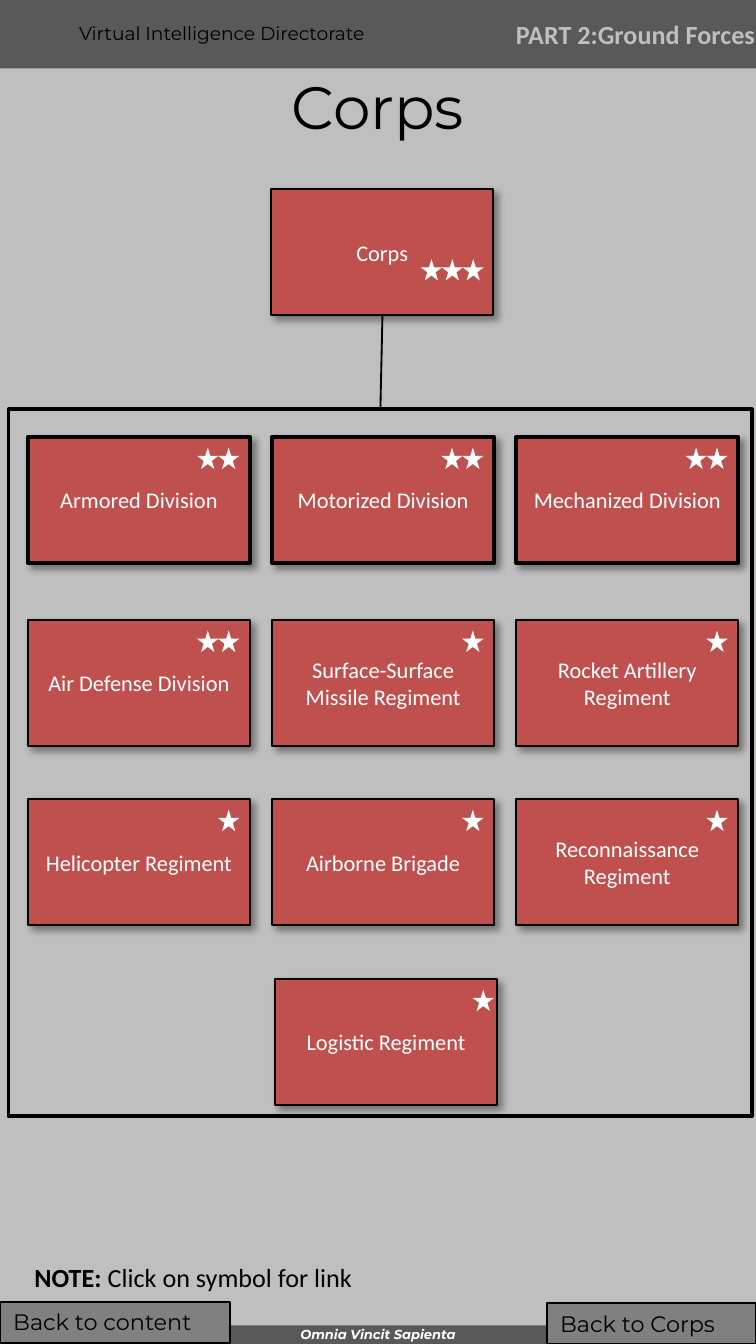
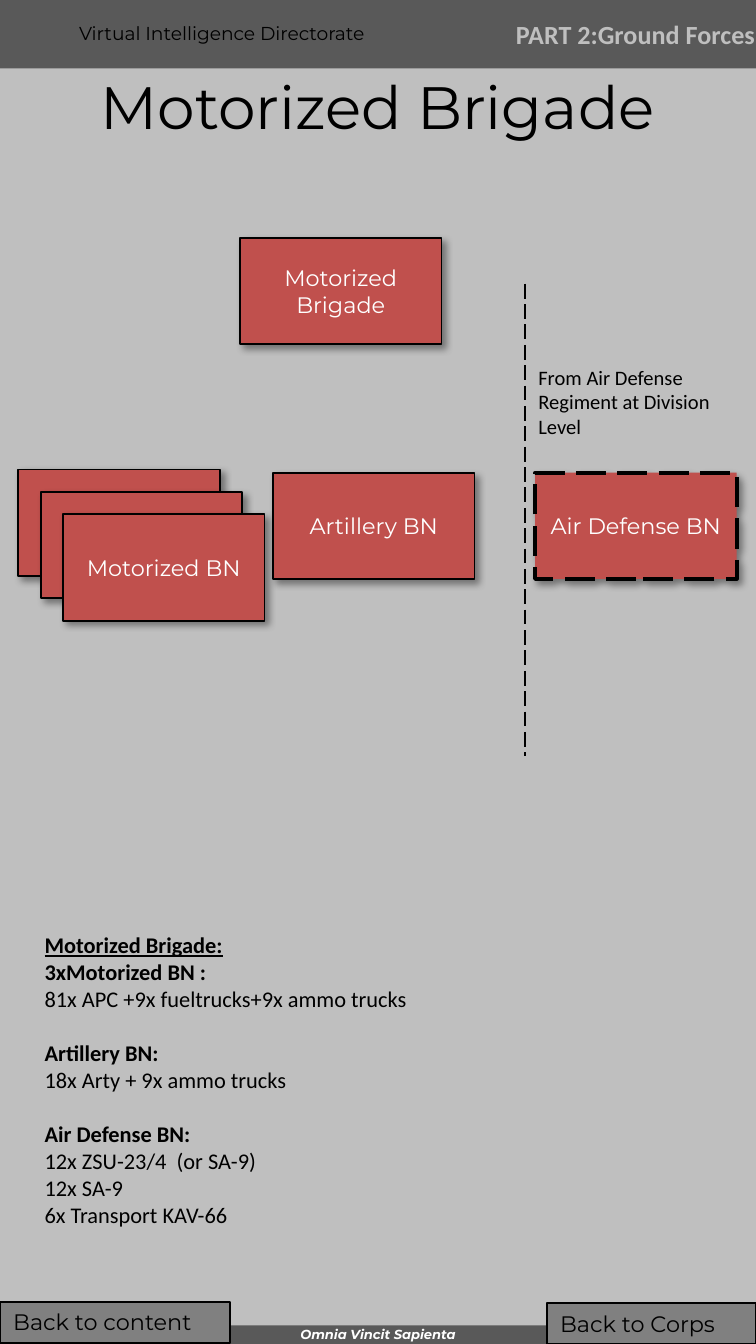
from dataclasses import dataclass

from lxml import etree
from pptx import Presentation
from pptx.dml.color import RGBColor
from pptx.enum.dml import MSO_LINE
from pptx.enum.shapes import MSO_CONNECTOR, MSO_SHAPE
from pptx.enum.text import MSO_ANCHOR, PP_ALIGN
from pptx.oxml.ns import qn
from pptx.util import Pt

RECT, STAR = MSO_SHAPE.RECTANGLE, MSO_SHAPE.STAR_5_POINT
STRAIGHT, LONG_DASH = MSO_CONNECTOR.STRAIGHT, MSO_LINE.LONG_DASH
TOP, MIDDLE = MSO_ANCHOR.TOP, MSO_ANCHOR.MIDDLE
LEFT, CENTER = PP_ALIGN.LEFT, PP_ALIGN.CENTER


@dataclass(frozen=True)
class Theme:
    page: str = "BFBFBF"
    band: str = "595959"
    button: str = "808080"
    unit: str = "C0504D"
    ink: str = "000000"
    light: str = "FFFFFF"
    heading: str = "Montserrat"
    body: str = "Calibri"
    title_size: float = 32
    note_size: float = 14
    text_size: float = 12
    side_size: float = 11
    header_size: float = 10
    motto_size: float = 7


THEME = Theme()
PAGE_W, PAGE_H = 405, 720

# Corps grid: three columns of cards
CARD_W, CARD_H = 119, 67.7
COLUMN_LEFT, COLUMN_STEP = 15, 130.8
ROW_TOPS = (234, 332, 428)
CORPS_ROWS = (
    (("Armored Division", 2), ("Motorized Division", 2), ("Mechanized Division", 2)),
    (("Air Defense Division", 2), ("Surface-Surface Missile Regiment", 1),
     ("Rocket Artillery Regiment", 1)),
    (("Helicopter Regiment", 1), ("Airborne Brigade", 1),
     ("Reconnaissance Regiment", 1)),
)
STAR_SIZE, STAR_STEP = 11.5, 11.2

# Brigade chart
BATTALION_W, BATTALION_H = 108, 57
STACK_STEP = 12
BRIGADE_STRENGTH = (
    ("3xMotorized BN :", ("81x APC +9x fueltrucks+9x ammo trucks",)),
    ("Artillery BN:", ("18x Arty + 9x ammo trucks",)),
    ("Air Defense BN:", ("12x ZSU-23/4  (or SA-9)", "12x SA-9",
                         "6x Transport KAV-66")),
)
SECTION_GAP = 14.6


def rgb(color):
    return RGBColor.from_string(color)


def set_all(target, values):
    for name, value in values.items():
        setattr(target, name, value)


def text_style(family, size, color=THEME.ink, **extras):
    return {"color": color, "font": {"name": family, "size": Pt(size), **extras}}


# Text

def write(shape, paragraphs, style, align=LEFT, anchor=TOP, margin=None):
    """Fill a shape; each paragraph is a list of (text, font changes) runs."""
    frame = shape.text_frame
    set_all(frame, {"word_wrap": True, "vertical_anchor": anchor})
    if margin is not None:
        sides = ("left", "right", "top", "bottom")
        set_all(frame, {f"margin_{side}": Pt(margin) for side in sides})
    for index, runs in enumerate(paragraphs):
        paragraph = frame.add_paragraph() if index else frame.paragraphs[0]
        paragraph.alignment = align
        for words, changes in runs:
            run = paragraph.add_run()
            run.text = words
            set_all(run.font, {**style["font"], **changes})
            run.font.color.rgb = rgb(style["color"])
    return frame


def add_label(slide, box, words, style, **layout):
    label = slide.shapes.add_textbox(*map(Pt, box))
    write(label, [[(words, {})]], style, **layout)


# Shapes and lines

def set_line(line, width, dash=None):
    line.color.rgb = rgb(THEME.ink)
    line.width = Pt(width)
    if dash is not None:
        line.dash_style = dash


def add_panel(shapes, box, fill=None, line_width=0, dash=None, kind=RECT):
    panel = shapes.add_shape(kind, *map(Pt, box))
    if fill:
        panel.fill.solid()
        panel.fill.fore_color.rgb = rgb(fill)
    else:
        panel.fill.background()
    if line_width:
        set_line(panel.line, line_width, dash)
    else:
        panel.line.fill.background()
    panel.shadow.inherit = False
    return panel


def add_shadow(shape):
    effects = shape.fill._xPr.find(qn("a:effectLst"))
    shadow = etree.SubElement(effects, qn("a:outerShdw"), blurRad=str(Pt(4)),
                              dist=str(Pt(3)), dir="2700000", algn="tl",
                              rotWithShape="0")
    color = etree.SubElement(shadow, qn("a:srgbClr"), val=THEME.ink)
    etree.SubElement(color, qn("a:alpha"), val="40000")


def add_rule(slide, start, end, dash=None):
    rule = slide.shapes.add_connector(STRAIGHT, *map(Pt, (*start, *end)))
    set_line(rule.line, 1, dash)
    etree.SubElement(rule._element.spPr, qn("a:effectLst"))


def add_unit(slide, box, name="", family=THEME.body, line_width=1, dash=None):
    unit = add_panel(slide.shapes, box, THEME.unit, line_width, dash)
    add_shadow(unit)
    if name:
        style = text_style(family, THEME.text_size, THEME.light)
        write(unit, [[(name, {})]], style, CENTER, MIDDLE)


def add_stars(slide, count, right, top):
    """Rank stars in a row that ends at the given right edge."""
    shapes = slide.shapes if count == 1 else slide.shapes.add_group_shape().shapes
    for place in range(count):
        left = right - STAR_SIZE - place * STAR_STEP
        add_panel(shapes, (left, top, STAR_SIZE, STAR_SIZE), THEME.light, kind=STAR)


def add_ranked_card(slide, left, top, name, stars, line_width=1,
                    star_right=113.3, star_top=5.8):
    add_unit(slide, (left, top, CARD_W, CARD_H), name, line_width=line_width)
    add_stars(slide, stars, left + star_right, top + star_top)


# Shared page

def add_page(prs, title):
    slide = prs.slides.add_slide(prs.slide_layouts[6])
    for top, height in ((0, 36.7), (710, 10)):
        add_panel(slide.shapes, (0, top, PAGE_W, height), THEME.band)
    add_label(slide, (35.3, 8, 278, 19.4), "Virtual Intelligence Directorate",
              text_style(THEME.heading, THEME.header_size))
    add_label(slide, (0, 710.6, PAGE_W, 8.6), "Omnia Vincit Sapienta",
              text_style(THEME.heading, THEME.motto_size, THEME.light,
                         bold=True, italic=True), align=CENTER, margin=0)
    add_label(slide, (265, 0, 151, 36.7), "PART 2:Ground Forces",
              text_style(THEME.body, THEME.note_size, THEME.page, bold=True),
              align=CENTER, anchor=MIDDLE)
    add_label(slide, (0, 36.7, PAGE_W, 40), title,
              text_style(THEME.heading, THEME.title_size),
              align=CENTER, anchor=MIDDLE)
    return slide


def add_navigation(slide):
    for box, words in (((0, 697.5, 123.3, 21.8), "Back to content"),
                       ((293, 698.2, 112, 21.8), "Back to Corps")):
        button = add_panel(slide.shapes, box, THEME.button, 1)
        write(button, [[(words, {})]],
              text_style(THEME.heading, THEME.text_size))


# Slides

def build_corps(prs):
    slide = add_page(prs, "Corps")
    add_panel(slide.shapes, (4.5, 219.3, 398.3, 378.7), line_width=2)
    add_rule(slide, (204.9, 169), (203.8, 219.3))
    add_ranked_card(slide, 145.3, 101.3, "Corps", 3, star_right=114, star_top=37.5)

    # Subordinate units, divisions of the first row outlined heavier
    for row, (top, units) in enumerate(zip(ROW_TOPS, CORPS_ROWS)):
        for column, (name, stars) in enumerate(units):
            add_ranked_card(slide, COLUMN_LEFT + column * COLUMN_STEP, top, name,
                            stars, line_width=1 if row else 2)
    add_ranked_card(slide, 147.4, 524.4, "Logistic Regiment", 1, star_right=117.3)

    # Link note
    note = slide.shapes.add_textbox(*map(Pt, (11.3, 672, 264, 24.2)))
    write(note, [[("NOTE: ", {"bold": True}), ("Click on symbol for link", {})]],
          text_style(THEME.body, THEME.note_size))
    add_navigation(slide)


def build_motorized_brigade(prs):
    slide = add_page(prs, "Motorized Brigade")

    # Three motorized battalions, the front one named
    for depth, name in enumerate(("", "", "Motorized BN")):
        shift = depth * STACK_STEP
        add_unit(slide, (9.8 + shift, 251.5 + shift, BATTALION_W, BATTALION_H),
                 name, THEME.heading)

    # Brigade and its other battalions
    for left, top, name, width, dash in (
            (146.3, 253.2, "Artillery BN", 1, None),
            (286.7, 253.2, "Air Defense BN", 2, LONG_DASH),
            (128.6, 127.5, "Motorized Brigade", 1, None)):
        add_unit(slide, (left, top, BATTALION_W, BATTALION_H), name,
                 THEME.heading, width, dash)

    # Attached from division
    add_rule(slide, (281.3, 152), (281.3, 405), LONG_DASH)
    add_label(slide, (281.3, 191.8, 123.5, 47.5),
              "From Air Defense Regiment at Division Level",
              text_style(THEME.body, THEME.side_size))

    # Strength list
    lines = [[("Motorized Brigade:", {"bold": True, "underline": True})]]
    section_starts = []
    for heading, items in BRIGADE_STRENGTH:
        section_starts.append(len(lines))
        lines.append([(heading, {"bold": True})])
        lines.extend([(item, {})] for item in items)
    strength = slide.shapes.add_textbox(*map(Pt, (16.8, 495.5, 309.6, 181.4)))
    frame = write(strength, lines, text_style(THEME.body, THEME.text_size))
    for start in section_starts[1:]:
        frame.paragraphs[start].space_before = Pt(SECTION_GAP)
    add_navigation(slide)


def main():
    prs = Presentation()
    set_all(prs, {"slide_width": Pt(PAGE_W), "slide_height": Pt(PAGE_H)})
    backdrop = prs.slide_master.background.fill
    backdrop.solid()
    backdrop.fore_color.rgb = rgb(THEME.page)
    build_corps(prs)
    build_motorized_brigade(prs)
    prs.save("out.pptx")


if __name__ == "__main__":
    main()
